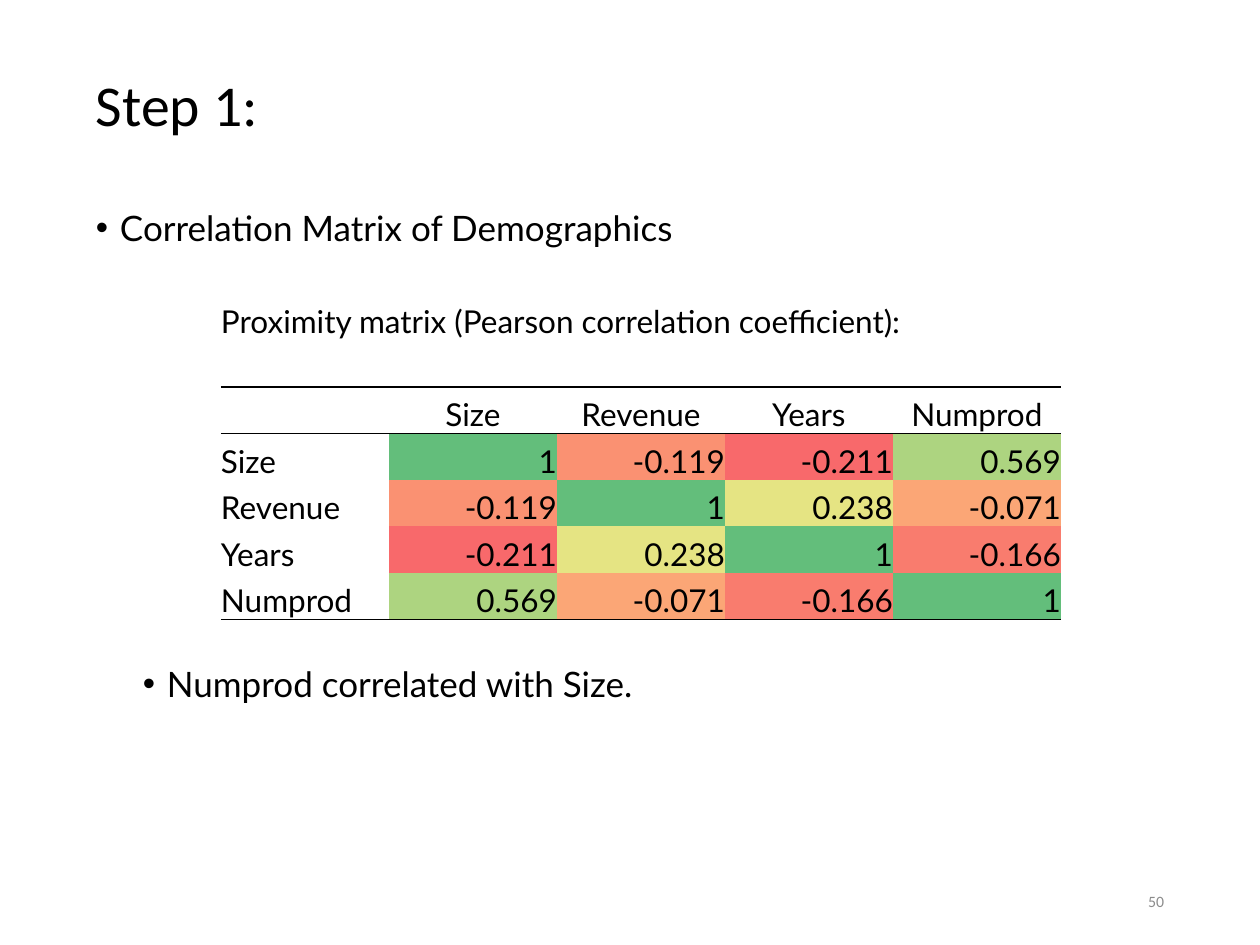
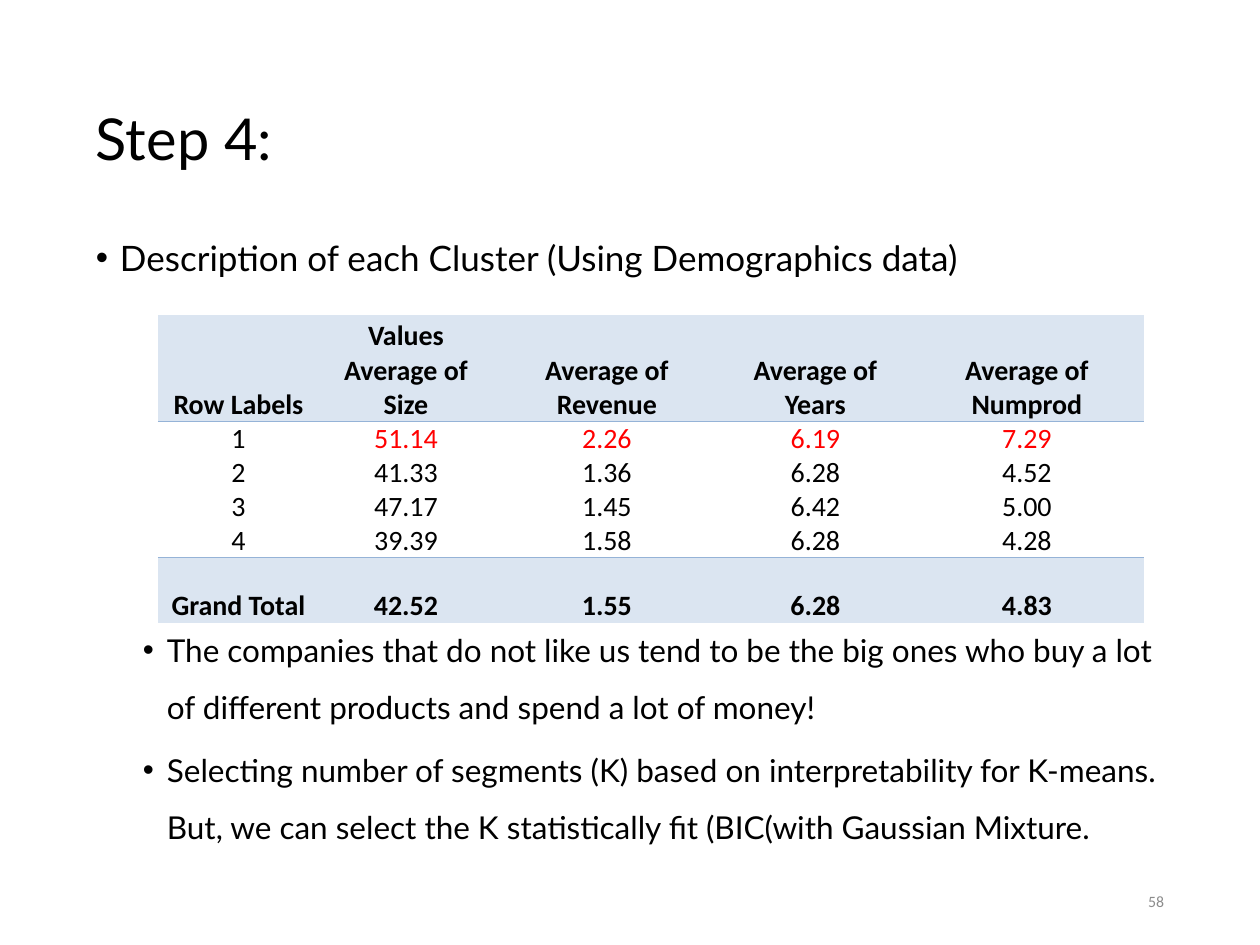
from pptx import Presentation
from pptx.dml.color import RGBColor
from pptx.enum.text import MSO_ANCHOR, PP_ALIGN
from pptx.util import Pt
from lxml.etree import SubElement
from pptx.oxml import parse_xml
from pptx.oxml.ns import nsdecls, qn

PX = 914400 // 126
INK = {"text": "000000", "page": "8C8C8C", "hot": "FF0000",
       "band": "DBE5F1", "rule": "95B3D7"}
HEAT = {"1": "63BE7B", "0.569": "ADD480", "0.238": "E5E483",
        "-0.071": "FBA676", "-0.119": "FA9172", "-0.166": "F97C6E",
        "-0.211": "F8696B"}
ALIGN = {"l": PP_ALIGN.LEFT, "c": PP_ALIGN.CENTER, "r": PP_ALIGN.RIGHT}
PLAIN = "{2D5ABB26-0587-4C30-8999-92F81FD0307C}"
LEFT, WIDE = 87, 1086
HANG = 24


def write(frame, text, size=18, font="Lato", color="text", bold=False,
          align="l", lead=None, gap=0, indent=None):
    """Fill a text frame, one paragraph a line; an indent adds bullets."""
    frame.word_wrap = True
    for n, line in enumerate(text.split("\n")):
        para = frame.paragraphs[0] if n == 0 else frame.add_paragraph()
        para.alignment = ALIGN[align]
        para.space_before = Pt(gap)
        if lead:
            para.line_spacing = lead
        if indent is not None:
            props = para._p.get_or_add_pPr()
            props.set("marL", str((indent + HANG) * PX))
            props.set("indent", str(-HANG * PX))
            SubElement(props, qn("a:buFont")).set("typeface", "Arial")
            SubElement(props, qn("a:buChar")).set("char", "•")
        run = para.add_run()
        run.text = line
        run.font.size, run.font.name, run.font.bold = Pt(size), font, bold
        run.font.color.rgb = RGBColor.from_string(INK[color])


def grid(slide, left, top, cols, rows, rules):
    """Add an unstyled table; rules maps a row to its lower line."""
    frame = slide.shapes.add_table(
        len(rows), len(cols), left * PX, top * PX,
        sum(cols) * PX, int(sum(rows) * PX))
    table = frame.table
    table.first_row = table.horz_banding = False
    next(frame._element.iter(qn("a:tableStyleId"))).text = PLAIN
    for col, wide in zip(table.columns, cols):
        col.width = wide * PX
    for r, (row, high) in enumerate(zip(table.rows, rows)):
        row.height = int(high * PX)
        for cell in row.cells:
            cell.margin_left = cell.margin_right = 0
            cell.margin_top = cell.margin_bottom = 0
            cell.vertical_anchor = MSO_ANCHOR.BOTTOM
            cell.fill.background()
            if r in rules:
                color, width = rules[r]
                cell._tc.get_or_add_tcPr().insert(0, parse_xml(
                    f'<a:lnB {nsdecls("a")} w="{Pt(width)}"><a:solidFill>'
                    f'<a:srgbClr val="{INK[color]}"/></a:solidFill></a:lnB>'))
    return table


deck = Presentation()
deck.slide_width, deck.slide_height = 1260 * PX, 945 * PX

# Shared layout: title, lead bullet, notes under the table, page number
pages = [
    dict(title="Step 1:", font="Calibri", top=16, page="50",
         lead="Correlation Matrix of Demographics", start=199, space=1.05,
         notes="Numprod correlated with Size.", below=655, size=20, loose=1.05),
    dict(title="Step 4:", font="Lato", top=50, page="58",
         lead="Description of each Cluster (Using Demographics data)",
         start=236, space=0.9,
         notes="The companies that do not like us tend to be the big ones who "
               "buy a lot of different products and spend a lot of money!\n"
               "Selecting number of segments (K) based on interpretability for "
               "K-means. But, we can select the K statistically fit (BIC(with "
               "Gaussian Mixture.", below=607, size=18, loose=1.5),
]
slides = []
for page in pages:
    slide = deck.slides.add_slide(deck.slide_layouts[6])
    slides.append(slide)
    parts = [
        ((LEFT, page["top"], WIDE, 183), page["title"],
         dict(size=33, font=page["font"], lead=0.9)),
        ((LEFT, page["start"], WIDE, 60), page["lead"],
         dict(size=20, lead=page["space"], gap=7.5, indent=0)),
        ((LEFT, page["below"], WIDE, 835 - page["below"]), page["notes"],
         dict(size=page["size"], lead=page["loose"], gap=3.8, indent=47)),
        ((890, 876, 283, 50), page["page"],
         dict(size=9, font="Calibri", color="page", align="r")),
    ]
    for n, (place, text, form) in enumerate(parts):
        frame = slide.shapes.add_textbox(*[v * PX for v in place]).text_frame
        frame.margin_left = frame.margin_right = 9 * PX
        frame.margin_top = frame.margin_bottom = 5 * PX
        if n in (0, 3):
            frame.vertical_anchor = MSO_ANCHOR.MIDDLE
        write(frame, text, **form)

# Correlation matrix
names = ["Size", "Revenue", "Years", "Numprod"]
values = [["1", "-0.119", "-0.211", "0.569"],
          ["-0.119", "1", "0.238", "-0.071"],
          ["-0.211", "0.238", "1", "-0.166"],
          ["0.569", "-0.071", "-0.166", "1"]]
table = grid(slides[0], 221, 294, [168] * 5, [46.5] * 7,
             {1: ("text", 1), 2: ("text", 0.5), 6: ("text", 1)})
table.cell(0, 0).merge(table.cell(0, 4))
write(table.cell(0, 0).text_frame,
      "Proximity matrix (Pearson correlation coefficient):")
for r, name in enumerate(names):
    write(table.cell(2, r + 1).text_frame, name, align="c")
    write(table.cell(r + 3, 0).text_frame, name)
    for c, value in enumerate(values[r]):
        cell = table.cell(r + 3, c + 1)
        write(cell.text_frame, value, align="r")
        cell.fill.solid()
        cell.fill.fore_color.rgb = RGBColor.from_string(HEAT[value])

# Cluster averages
means = [["", "Values", "", "", ""],
         ["Row Labels"] + ["Average of " + name for name in names],
         ["1", "51.14", "2.26", "6.19", "7.29"],
         ["2", "41.33", "1.36", "6.28", "4.52"],
         ["3", "47.17", "1.45", "6.42", "5.00"],
         ["4", "39.39", "1.58", "6.28", "4.28"],
         ["Grand Total", "42.52", "1.55", "6.28", "4.83"]]
table = grid(slides[1], 158, 315, [161, 174, 228, 189, 234],
             [34, 69, 34, 34, 34, 34, 65],
             {1: ("rule", 0.5), 5: ("rule", 0.5)})
for r, row in enumerate(means):
    band = r in (0, 1, 6)
    for c, value in enumerate(row):
        cell = table.cell(r, c)
        write(cell.text_frame, value, size=16, font="Calibri", bold=band,
              align="c", color="hot" if r == 2 and c else "text")
        if band:
            cell.fill.solid()
            cell.fill.fore_color.rgb = RGBColor.from_string(INK["band"])

deck.save("out.pptx")
